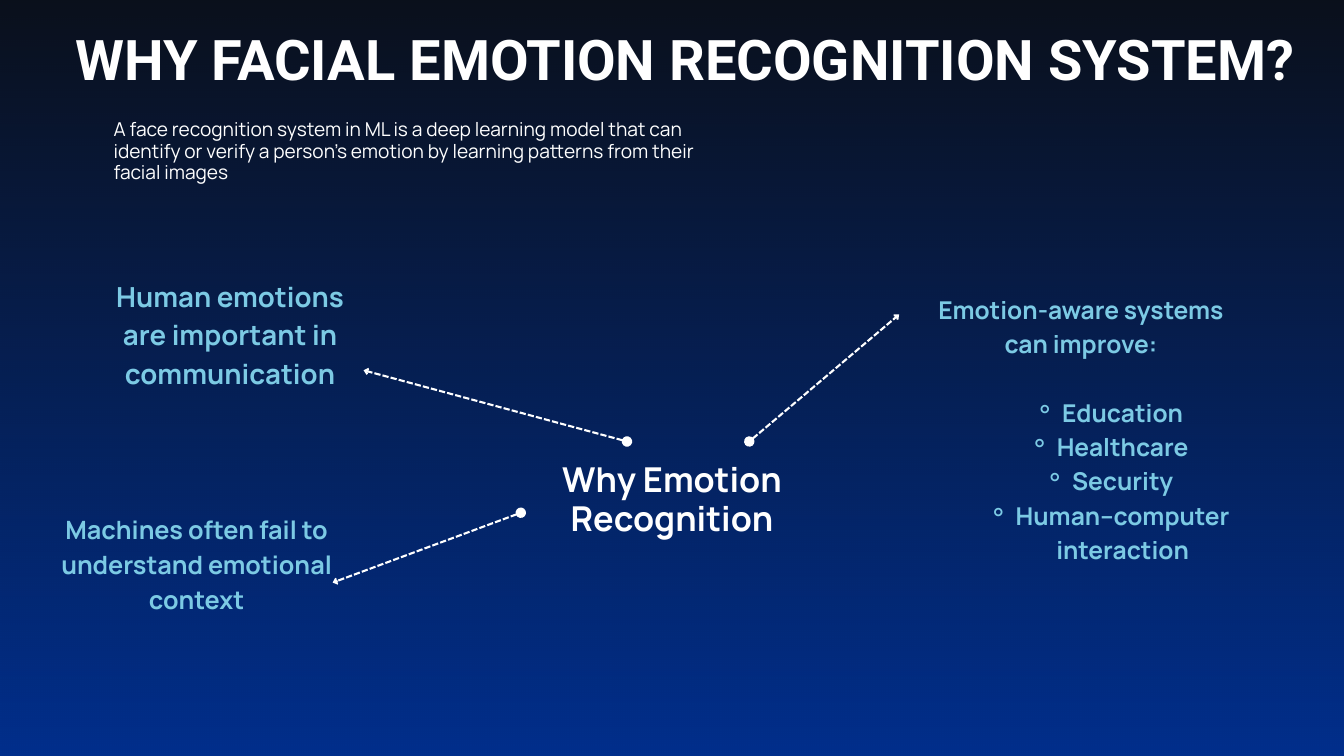
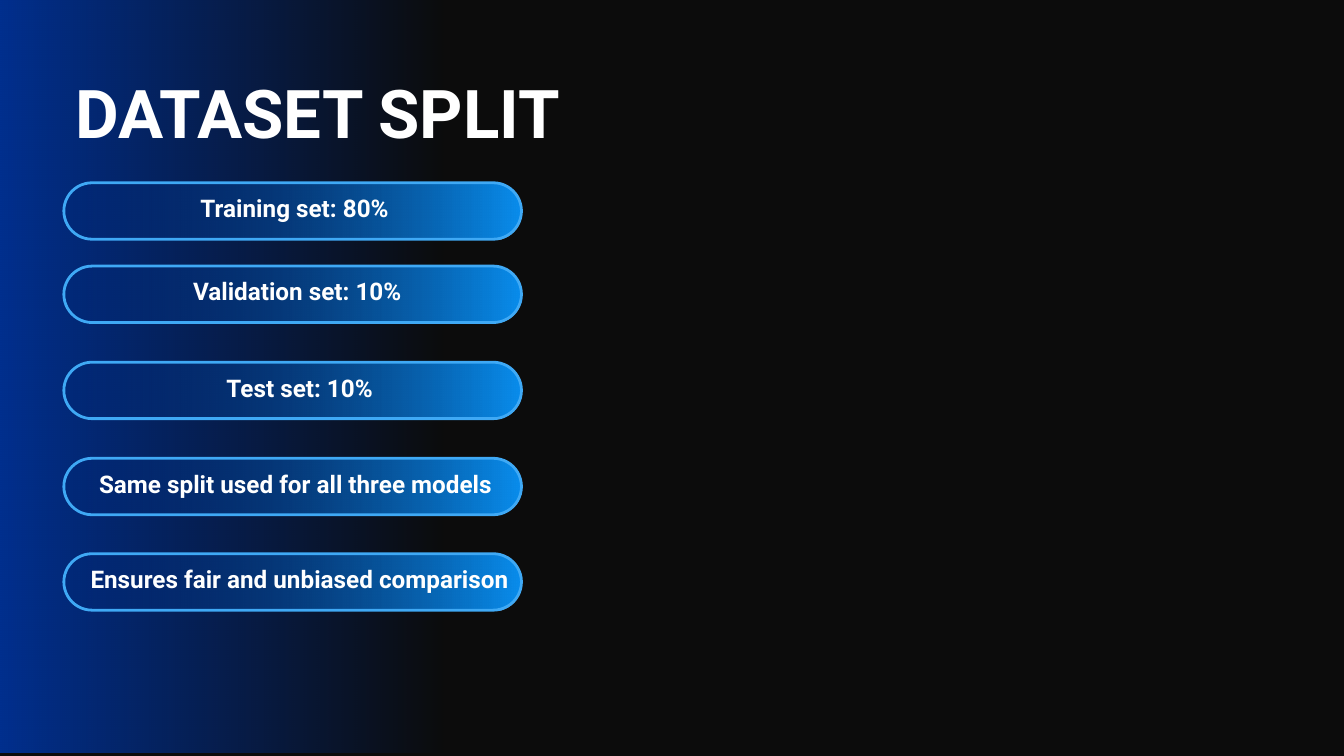
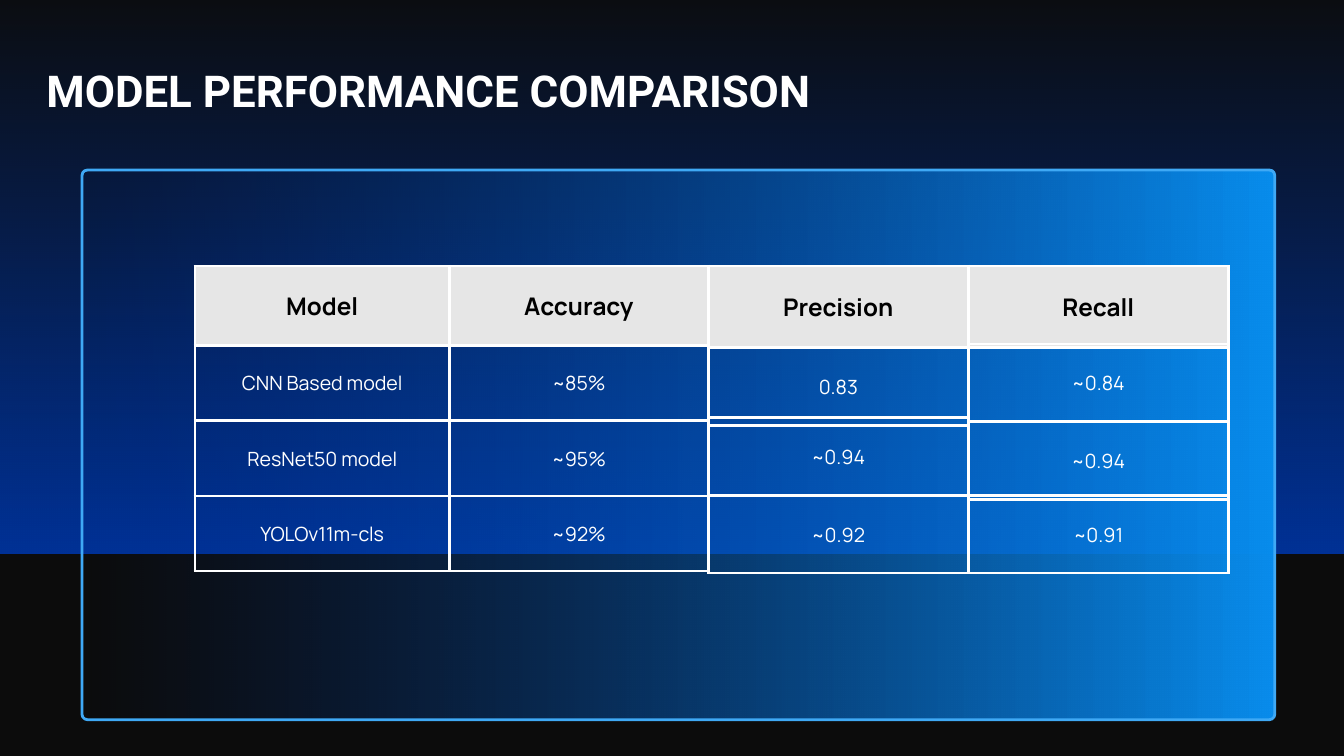
import pptx
import pptx.dml.color
import pptx.enum.dml
import pptx.enum.shapes
import pptx.enum.text
import pptx.oxml.ns
import pptx.util
from lxml import etree

PX = 9144  # 100 px to the inch
WHITE, SKY, BLUE, AZURE, EDGE = "FFFFFF", "7CCAE4", "003297", "098DED", "3FA9F5"
INK, GREY, NIGHT = "000000", "E6E6E6", "0C0C0C"
rgb = pptx.dml.color.RGBColor.from_string
qn = pptx.oxml.ns.qn
SHAPE = pptx.enum.shapes.MSO_SHAPE
LEFT, CENTRE = pptx.enum.text.PP_ALIGN.LEFT, pptx.enum.text.PP_ALIGN.CENTER


def write(frame, *lines, size, leading, face="Manrope", colour=WHITE, bold=True,
          align=CENTRE, inset=0, anchor=pptx.enum.text.MSO_ANCHOR.TOP):
    frame.word_wrap = True
    frame.auto_size = pptx.enum.text.MSO_AUTO_SIZE.NONE
    frame.vertical_anchor = anchor
    frame.margin_left = frame.margin_right = inset * PX
    frame.margin_top = frame.margin_bottom = inset * PX
    for number, line in enumerate(lines):
        para = frame.add_paragraph() if number else frame.paragraphs[0]
        para.alignment = align
        para.line_spacing = pptx.util.Pt(leading)
        span = para.add_run()
        span.text = line
        span.font.name, span.font.size, span.font.bold = face, pptx.util.Pt(size), bold
        span.font.color.rgb = rgb(colour)


def add_faded(page, kind, at, stops, angle=0, edge=None):
    """Add a shape with a gradient of (colour, opacity in percent) stops."""
    shape = page.shapes.add_shape(kind, *(n * PX for n in at))
    shape.shadow.inherit = False
    shape.fill.gradient()
    shape.fill.gradient_angle = angle
    nodes = shape.element.spPr.iter(qn("a:gs"))
    for stop, node, (colour, opacity) in zip(shape.fill.gradient_stops, list(nodes), stops):
        stop.color.rgb = rgb(colour)
        if opacity < 100:
            etree.SubElement(node[0], qn("a:alpha"), val=str(opacity * 1000))
    if edge:
        shape.line.color.rgb = rgb(edge)
        shape.line.width = pptx.util.Pt(3)
    else:
        shape.line.fill.background()
    return shape


deck = pptx.Presentation()
deck.slide_width, deck.slide_height = 2000 * PX, 1125 * PX
backdrop = deck.slide_master.background.fill
backdrop.solid()
backdrop.fore_color.rgb = rgb(NIGHT)

# Titles and gradient bands
rising = [(BLUE, 0), (BLUE, 100)]
for heading, at, size, leading, band_at, stops, angle in (
    ("WHY FACIAL EMOTION RECOGNITION SYSTEM?", (112, 36, 1841, 202), 60, 72,
     (0, -160, 2229, 1386), rising, 270),
    ("DATASET SPLIT", (112, 126, 791, 106), 72, 72,
     (-42, -5, 703, 1125), rising[::-1], 0),
    ("MODEL PERFORMANCE COMPARISON", (69, 108, 1651, 69), 47, 47,
     (0, -33, 2020, 857), rising, 270),
):
    page = deck.slides.add_slide(deck.slide_layouts[5])
    title = page.shapes.title
    title.left, title.top, title.width, title.height = (n * PX for n in at)
    write(title.text_frame, heading, size=size, leading=leading, face="Roboto", align=LEFT)
    band = add_faded(page, SHAPE.RECTANGLE, band_at, stops, angle)
    title.element.addprevious(band.element)
why, split, results = deck.slides

# Slide 1: reasons around a central question
for at, lines, style in (
    ((169, 176, 898, 99),
     ["A face recognition system in ML is a deep learning model that can identify or verify "
      "a person’s emotion by learning patterns from their facial images"],
     dict(size=20.5, leading=23.4, bold=False, align=LEFT)),
    ((614, 685, 772, 120), ["Why Emotion", "Recognition"], dict(size=36.7, leading=41.8)),
    ((144, 408, 397, 280), ["Human emotions are important in communication"],
     dict(size=29.6, leading=41.4, colour=SKY)),
    ((44, 757, 497, 203), ["Machines often fail to understand emotional context"],
     dict(size=27, leading=37.9, colour=SKY)),
    ((1386, 431, 445, 446),
     ["Emotion-aware systems can improve:", "Education", "Healthcare", "Security",
      "Human–computer interaction"],
     dict(size=26.3, leading=36.8, colour=SKY)),
):
    box = why.shapes.add_textbox(*(n * PX for n in at))
    write(box.text_frame, *lines, **style)

benefits = box.text_frame.paragraphs[1:]
benefits[0].space_before = pptx.util.Pt(36.8)
for para in benefits:
    settings = para._p.get_or_add_pPr()
    settings.set("marL", str(124 * PX))
    settings.set("indent", str(-41 * PX))
    etree.SubElement(settings, qn("a:buChar"), char="⚬")

for ends in ((933, 657, 541, 551), (1115, 657, 1338, 468), (775, 763, 495, 867)):
    arrow = why.shapes.add_connector(
        pptx.enum.shapes.MSO_CONNECTOR.STRAIGHT, *(n * PX for n in ends))
    arrow.line.color.rgb = rgb(WHITE)
    arrow.line.width = pptx.util.Pt(2.25)
    arrow.line.dash_style = pptx.enum.dml.MSO_LINE.SQUARE_DOT
    outline = arrow.line._get_or_add_ln()
    etree.SubElement(outline, qn("a:headEnd"), type="oval", w="lg", len="lg")
    etree.SubElement(outline, qn("a:tailEnd"), type="arrow", w="med", len="sm")
    etree.SubElement(arrow.element.spPr, qn("a:effectLst"))

# Slide 2: one pill for each statement
glow = [(BLUE, 0), (AZURE, 100)]
for top, left, width, statement in (
    (272, 217, 443, "Training set: 80%"),
    (396, 202, 481, "Validation set: 10%"),
    (539, 232, 428, "Test set: 10%"),
    (682, 130, 620, "Same split used for all three models"),
    (824, 97, 698, "Ensures fair and unbiased comparison"),
):
    pill = add_faded(split, SHAPE.ROUNDED_RECTANGLE, (95, top, 681, 84), glow, edge=EDGE)
    pill.adjustments[0] = 0.5
    box = split.shapes.add_textbox(left * PX, (top + 23) * PX, width * PX, 36 * PX)
    write(box.text_frame, statement, size=26, leading=26, face="Roboto")

# Slide 3: a main table, with single-cell tables for precision and recall
panel = add_faded(results, SHAPE.ROUNDED_RECTANGLE, (122, 253, 1775, 818), glow, edge=EDGE)
panel.adjustments[0] = 0.01

grids = [(290, 396, [379, 385], [118, 112, 112, 112], [
    ["Model", "Accuracy"],
    ["CNN Based model", "~85%"],
    ["ResNet50 model", "~95%"],
    ["YOLOv11m-cls", "~92%"],
])]
for left, metric, scores in (
    (1054, "Precision", [(517, "0.83"), (621, "~0.94"), (737, "~0.92")]),
    (1441, "Recall", [(512, "~0.84"), (627, "~0.94"), (737, "~0.91")]),
):
    grids.append((left, 396, [387], [121], [[metric]]))
    grids += [(left, top, [387], [116], [[score]]) for top, score in scores]

for left, top, widths, heights, rows in grids:
    table = results.shapes.add_table(
        len(rows), len(widths), left * PX, top * PX, sum(widths) * PX, sum(heights) * PX).table
    table.first_row = table.horz_banding = False
    for column, width in zip(table.columns, widths):
        column.width = width * PX
    for row, height, texts in zip(table.rows, heights, rows):
        row.height = height * PX
        for cell, text in zip(row.cells, texts):
            is_header = text in ("Model", "Accuracy", "Precision", "Recall")
            style = (dict(size=26, leading=36.4, colour=INK) if is_header
                     else dict(size=21, leading=29.4, bold=False))
            frame = cell.text_frame
            write(frame, text, **style)
            cell.vertical_anchor = pptx.enum.text.MSO_ANCHOR.MIDDLE
            cell.margin_left = cell.margin_right = 21 * PX
            cell.margin_top = cell.margin_bottom = 21 * PX
            if is_header:
                cell.fill.solid()
                cell.fill.fore_color.rgb = rgb(GREY)
            else:
                cell.fill.background()
            properties = cell._tc.get_or_add_tcPr()
            for place, side in enumerate(("a:lnL", "a:lnR", "a:lnT", "a:lnB")):
                border = etree.Element(qn(side), w=str(pptx.util.Pt(3)))
                paint = etree.SubElement(border, qn("a:solidFill"))
                etree.SubElement(paint, qn("a:srgbClr"), val=WHITE)
                properties.insert(place, border)

deck.save("out.pptx")
